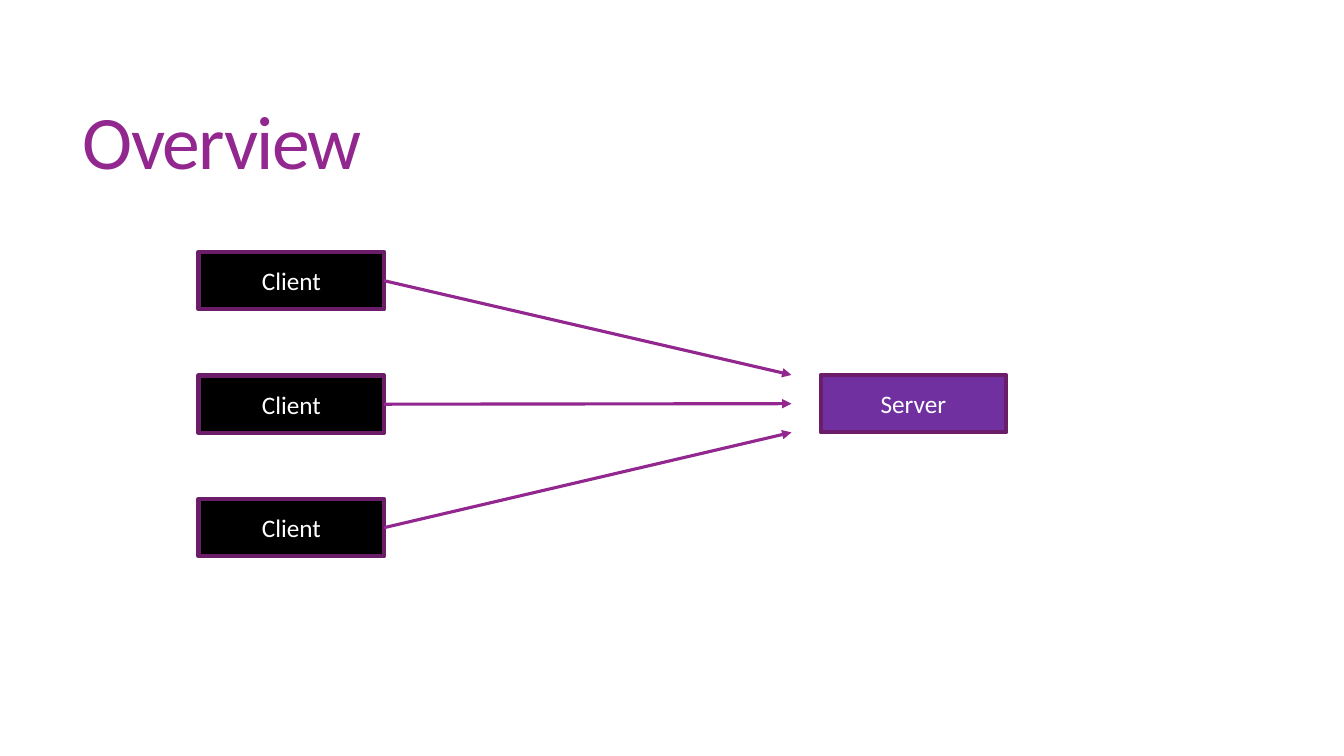
from lxml import etree
from pptx import Presentation
from pptx.dml.color import RGBColor
from pptx.enum.shapes import MSO_CONNECTOR, MSO_SHAPE
from pptx.enum.text import MSO_ANCHOR, MSO_AUTO_SIZE, PP_ALIGN
from pptx.oxml.ns import qn
from pptx.util import Inches, Pt

RECTANGLE = MSO_SHAPE.RECTANGLE
STRAIGHT = MSO_CONNECTOR.STRAIGHT
MIDDLE = MSO_ANCHOR.MIDDLE
LEFT, CENTER = PP_ALIGN.LEFT, PP_ALIGN.CENTER
NO_AUTOFIT = MSO_AUTO_SIZE.NONE
RIGHT_SIDE = 3

BLACK = RGBColor(0x00, 0x00, 0x00)
WHITE = RGBColor(0xFF, 0xFF, 0xFF)
MAGENTA = RGBColor(0x92, 0x27, 0x8F)
DARK_MAGENTA = RGBColor(0x6C, 0x1D, 0x6A)
PURPLE = RGBColor(0x70, 0x30, 0xA0)

BOX_WIDTH, BOX_HEIGHT = 1.84, 0.57
CLIENT_LEFT, CLIENT_TOP, CLIENT_STEP = 1.97, 2.5, 1.225
SERVER_LEFT, SERVER_TOP = 8.14, 3.72
ARROW_END = 7.85


class SlideBuilder:
    """Holds the style and the slide being built."""

    font_name = "Calibri"

    def __init__(self, slide):
        self.slide = slide

    def add_run(self, paragraph, text, size, color):
        run = paragraph.add_run()
        run.text = text
        run.font.name = self.font_name
        run.font.size = Pt(size)
        run.font.color.rgb = color
        return run

    def title(self, text, left, top, width, height):
        shape = self.slide.shapes.title
        shape.left, shape.top = Inches(left), Inches(top)
        shape.width, shape.height = Inches(width), Inches(height)
        frame = shape.text_frame
        frame.auto_size = NO_AUTOFIT
        frame.vertical_anchor = MIDDLE
        paragraph = frame.paragraphs[0]
        paragraph.alignment = LEFT
        paragraph.line_spacing = 0.85
        run = self.add_run(paragraph, text, 54, MAGENTA)
        run.font._element.set("spc", "-120")

    def box(self, text, left, top, fill):
        shape = self.slide.shapes.add_shape(
            RECTANGLE, Inches(left), Inches(top), Inches(BOX_WIDTH), Inches(BOX_HEIGHT))
        shape.shadow.inherit = False
        shape.fill.solid()
        shape.fill.fore_color.rgb = fill
        shape.line.color.rgb = DARK_MAGENTA
        shape.line.width = Pt(3)
        frame = shape.text_frame
        frame.vertical_anchor = MIDDLE
        paragraph = frame.paragraphs[0]
        paragraph.alignment = CENTER
        self.add_run(paragraph, text, 18, WHITE)
        return shape

    def arrow(self, source, end_x, end_y):
        connector = self.slide.shapes.add_connector(
            STRAIGHT, source.left + source.width, source.top + source.height // 2,
            Inches(end_x), Inches(end_y))
        connector.begin_connect(source, RIGHT_SIDE)
        connector.line.color.rgb = MAGENTA
        connector.line.width = Pt(2.25)
        line = connector.line._get_or_add_ln()
        etree.SubElement(line, qn("a:tailEnd"), type="triangle")
        etree.SubElement(connector._element.spPr, qn("a:effectLst"))


def main():
    presentation = Presentation()
    presentation.slide_width = Inches(13.33)
    presentation.slide_height = Inches(7.5)
    title_only = presentation.slide_layouts[5]
    builder = SlideBuilder(presentation.slides.add_slide(title_only))

    # Title
    builder.title("Overview", 0.72, 0.55, 11.78, 1.81)

    # Clients and server
    clients = [builder.box("Client", CLIENT_LEFT, CLIENT_TOP + row * CLIENT_STEP, BLACK)
               for row in range(3)]
    builder.box("Server", SERVER_LEFT, SERVER_TOP, PURPLE)

    # Arrows end level with the server's top, middle and bottom
    for row, client in enumerate(clients):
        builder.arrow(client, ARROW_END, SERVER_TOP + row * BOX_HEIGHT / 2)

    presentation.save("out.pptx")


if __name__ == "__main__":
    main()
